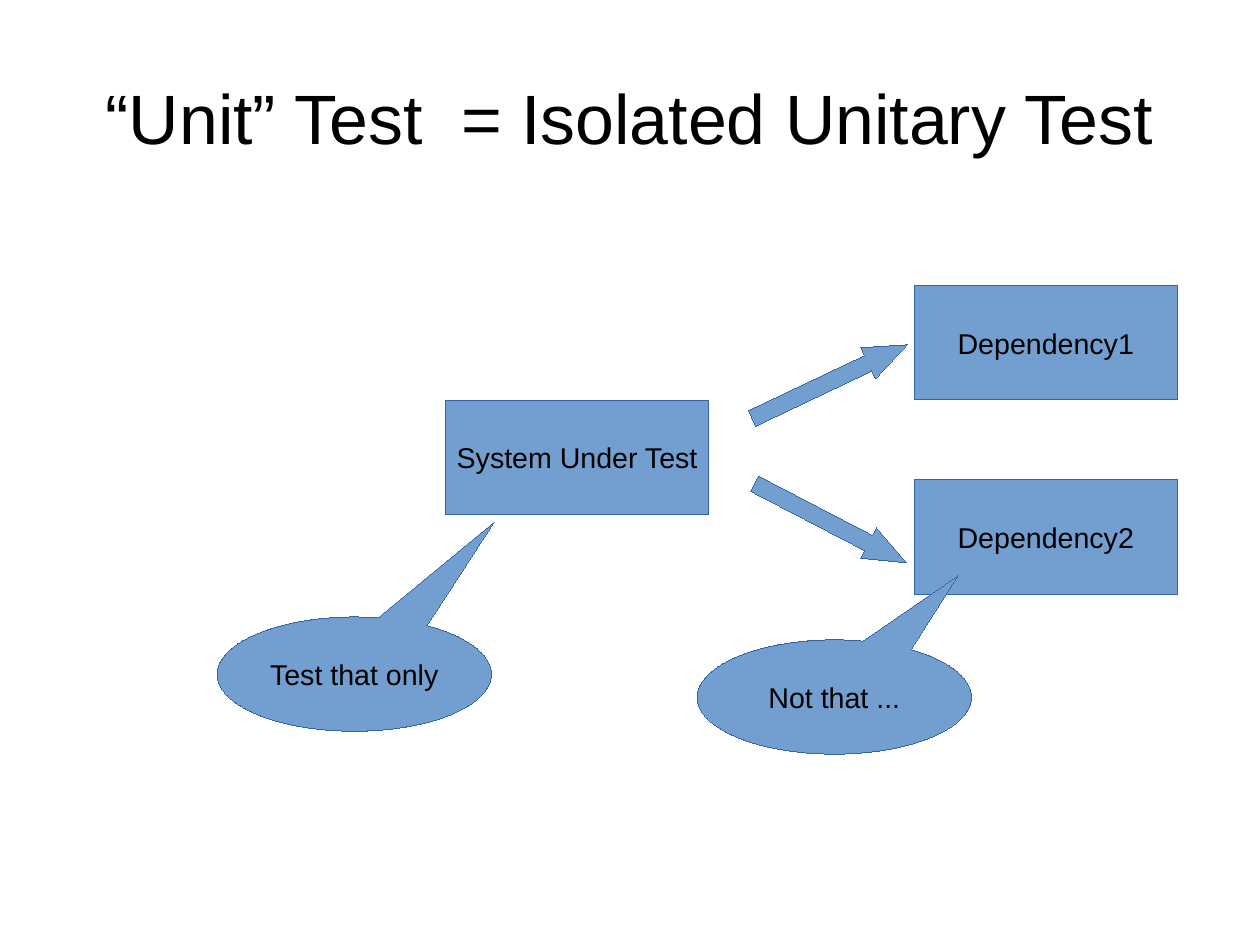
from dataclasses import dataclass

from pptx import Presentation
from pptx.dml.color import RGBColor
from pptx.enum.shapes import MSO_SHAPE
from pptx.enum.text import MSO_ANCHOR, PP_ALIGN
from pptx.oxml.ns import qn
from pptx.shapes.autoshape import Shape
from pptx.slide import Slide
from pptx.text.text import TextFrame
from pptx.util import Pt

BLACK = RGBColor(0x00, 0x00, 0x00)
SKY = RGBColor(0x72, 0x9F, 0xCF)
NAVY = RGBColor(0x34, 0x65, 0xA4)

BOX_SIZE = (165.6, 72)
BUBBLE_SIZE = (172.8, 72)
ARROW_SIZE = (108, 21.6)
ARROW_HEAD = (0.5, 1.25)
DEPENDENCY_LEFT = 576


@dataclass(frozen=True)
class Figure:
    kind: MSO_SHAPE
    left: float
    top: float
    size: tuple[float, float]
    label: str = ""
    rotation: float = 0
    adjustments: tuple[float, ...] = ()


FIGURES = [
    Figure(MSO_SHAPE.RECTANGLE, 280.8, 252, BOX_SIZE, "System Under Test"),
    Figure(MSO_SHAPE.RIGHT_ARROW, 468.6, 229.6, ARROW_SIZE,
           rotation=334.6, adjustments=ARROW_HEAD),
    Figure(MSO_SHAPE.RIGHT_ARROW, 469.2, 318.8, ARROW_SIZE,
           rotation=27.5, adjustments=ARROW_HEAD),
    Figure(MSO_SHAPE.RECTANGLE, DEPENDENCY_LEFT, 179.9, BOX_SIZE, "Dependency1"),
    Figure(MSO_SHAPE.RECTANGLE, DEPENDENCY_LEFT, 302.3, BOX_SIZE, "Dependency2"),
    Figure(MSO_SHAPE.OVAL_CALLOUT, 136.8, 388.7, BUBBLE_SIZE, "Test that only",
           adjustments=(0.51, -1.33)),
    Figure(MSO_SHAPE.OVAL_CALLOUT, 439.2, 403.1, BUBBLE_SIZE, "Not that ...",
           adjustments=(0.45, -1.06)),
]


def write_text(frame: TextFrame, text: str, *, size: float = 18, wrap: bool = False,
               margins: tuple[float, float] = (7.2, 3.6)) -> None:
    """Write one centred paragraph; margins are (sides, top and bottom)."""
    frame.margin_left = frame.margin_right = Pt(margins[0])
    frame.margin_top = frame.margin_bottom = Pt(margins[1])
    frame.word_wrap = wrap
    frame.vertical_anchor = MSO_ANCHOR.MIDDLE
    paragraph = frame.paragraphs[0]
    paragraph.alignment = PP_ALIGN.CENTER
    run = paragraph.add_run()
    run.text = text
    run.font.name = "Arial"
    run.font.size = Pt(size)
    run.font.color.rgb = BLACK


def draw_figure(slide: Slide, figure: Figure) -> Shape:
    width, height = figure.size
    shape = slide.shapes.add_shape(
        figure.kind, Pt(figure.left), Pt(figure.top), Pt(width), Pt(height))
    shape.rotation = figure.rotation
    for index, value in enumerate(figure.adjustments):
        shape.adjustments[index] = value
    shape.shadow.inherit = False
    shape.fill.solid()
    shape.fill.fore_color.rgb = SKY
    shape.line.color.rgb = NAVY
    # Setting line.width to zero drops the attribute, and the theme width returns.
    shape.element.spPr.find(qn("a:ln")).set("w", "0")
    if figure.label:
        write_text(shape.text_frame, figure.label)
    return shape


def main() -> None:
    presentation = Presentation()
    presentation.slide_width = Pt(793.7)
    presentation.slide_height = Pt(595.28)
    slide = presentation.slides.add_slide(presentation.slide_layouts[6])

    title = slide.shapes.add_textbox(Pt(39.6), Pt(23.7), Pt(714.3), Pt(99.4))
    write_text(title.text_frame, "“Unit” Test  = Isolated Unitary Test",
               size=44, wrap=True, margins=(0, 0))

    for figure in FIGURES:
        draw_figure(slide, figure)

    presentation.save("out.pptx")


if __name__ == "__main__":
    main()
